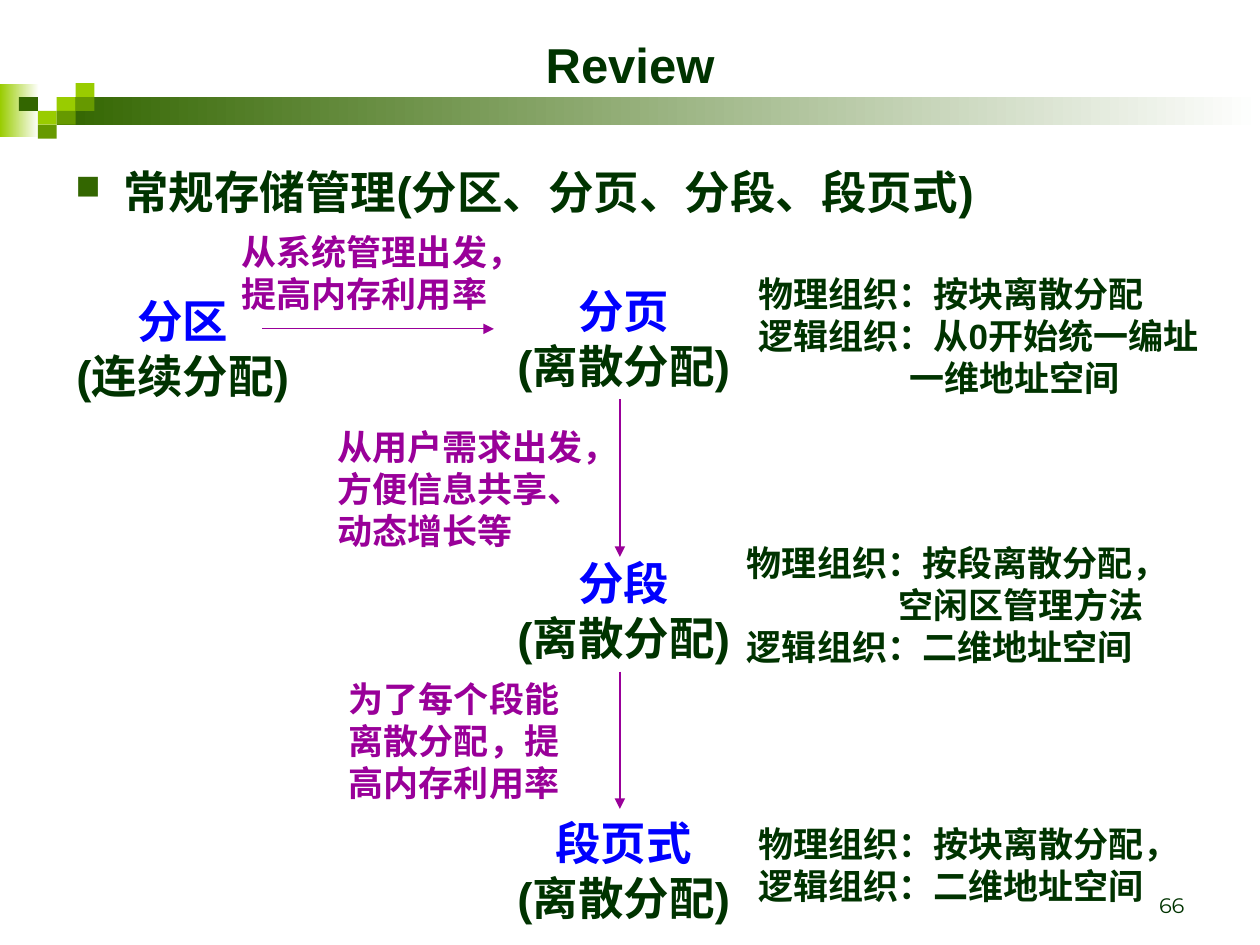
from lxml import etree
from pptx import Presentation
from pptx.dml.color import RGBColor
from pptx.enum.shapes import MSO_CONNECTOR, MSO_SHAPE
from pptx.enum.text import MSO_ANCHOR, PP_ALIGN
from pptx.oxml.ns import qn
from pptx.util import Inches, Pt

RECTANGLE = MSO_SHAPE.RECTANGLE
STRAIGHT = MSO_CONNECTOR.STRAIGHT
TOP, MIDDLE, BOTTOM = MSO_ANCHOR.TOP, MSO_ANCHOR.MIDDLE, MSO_ANCHOR.BOTTOM
LEFT, CENTER, RIGHT = PP_ALIGN.LEFT, PP_ALIGN.CENTER, PP_ALIGN.RIGHT

COLORS = {
    "text": "003300", "scheme": "0000FF", "reason": "990099",
    "dark": "336600", "mid": "669900", "lime": "99CC00", "white": "FFFFFF",
}


def rgb(name):
    return RGBColor.from_string(COLORS[name])


def add_text(box, lines, size, align=LEFT, anchor=TOP, wrap=True,
             font="Arial", bold=True):
    """Put (text, colour) lines into a new text box and return its paragraphs."""
    frame = slide.shapes.add_textbox(*[Inches(v) for v in box]).text_frame
    frame.word_wrap = wrap
    frame.vertical_anchor = anchor
    for i, (text, color) in enumerate(lines):
        paragraph = frame.paragraphs[0] if i == 0 else frame.add_paragraph()
        paragraph.alignment = align
        run = paragraph.add_run()
        run.text = text
        run.font.name = font
        run.font.size = Pt(size)
        run.font.bold = bold
        run.font.color.rgb = rgb(color)
    return frame.paragraphs


prs = Presentation()
prs.slide_width, prs.slide_height = Inches(10), Inches(7.5)
slide = prs.slides.add_slide(prs.slide_layouts[6])

# Header decoration: two fading bars, then small squares on a grid
CELL_W, CELL_H = 0.15, 0.11
GRID_TOP = 0.66
decoration = [
    (0, 0.67, 0.31, 0.42, ("lime", "white")),
    (0.45, 0.77, 9.55, 0.22, ("dark", "white")),
]
for column, row, color in [
    (3, 1, "lime"), (4, 0, "lime"), (4, 1, "mid"), (2, 2, "lime"),
    (1, 1, "dark"), (3, 2, "mid"), (2, 3, "mid"),
]:
    decoration.append((column * CELL_W, GRID_TOP + row * CELL_H,
                       CELL_W, CELL_H, (color,)))
for *box, colors in decoration:
    block = slide.shapes.add_shape(RECTANGLE, *[Inches(v) for v in box])
    block.shadow.inherit = False
    block.line.fill.background()
    if len(colors) == 2:
        block.fill.gradient()
        block.fill.gradient_angle = 0
        for stop, color in zip(block.fill.gradient_stops, colors):
            stop.color.rgb = rgb(color)
    else:
        block.fill.solid()
        block.fill.fore_color.rgb = rgb(colors[0])

# Title and page number
add_text((0.5, 0.17, 9, 0.67), [("Review", "text")], 28, CENTER, MIDDLE)
add_text((7.17, 6.83, 2.33, 0.5), [("66", "text")], 12, RIGHT, BOTTOM,
         font="Montserrat", bold=False)

# Bulleted topic
topic = add_text((0.5, 1.17, 9, 0.67),
                 [("常规存储管理(分区、分页、分段、段页式)", "text")], 26)[0]
topic.line_spacing = 1.2
topic_props = topic._p.get_or_add_pPr()
topic_props.set("marL", str(Inches(0.38)))
topic_props.set("indent", str(-Inches(0.38)))
bullet_color = etree.SubElement(topic_props, qn("a:buClr"))
etree.SubElement(bullet_color, qn("a:srgbClr"), val=COLORS["dark"])
etree.SubElement(topic_props, qn("a:buSzPct"), val="75000")
etree.SubElement(topic_props, qn("a:buChar"), char="■")

# Memory management schemes
for left, top, scheme, allocation in [
    (0.42, 2.28, "分区", "(连续分配)"),
    (3.92, 2.2, "分页", "(离散分配)"),
    (3.92, 4.36, "分段", "(离散分配)"),
    (3.92, 6.42, "段页式", "(离散分配)"),
]:
    add_text((left, top, 2.06, 0.97),
             [(scheme, "scheme"), (allocation, "text")], 26, CENTER, wrap=False)

# Reasons for each step
for box, lines in [
    ((1.82, 1.78, 2.42, 0.77), ["从系统管理出发，", "提高内存利用率"]),
    ((2.58, 3.33, 2.5, 1.1), ["从用户需求出发，", "方便信息共享、", "动态增长等"]),
    ((2.67, 5.33, 1.92, 1.1), ["为了每个段能离散分配，提高内存利用率"]),
]:
    add_text(box, [(line, "reason") for line in lines], 20)

# Physical and logical organisation; continuation lines are indented
for left, top, height, lines, continuation in [
    (5.92, 2.11, 1.44, ["物理组织：按块离散分配", "逻辑组织：从0开始统一编址",
                        "一维地址空间"], 2),
    (5.83, 4.25, 1.44, ["物理组织：按段离散分配，", "空闲区管理方法",
                        "逻辑组织：二维地址空间"], 1),
    (5.92, 6.48, 0.77, ["物理组织：按块离散分配，", "逻辑组织：二维地址空间"], None),
]:
    organisation = add_text((left, top, 3.83, height),
                            [(line, "text") for line in lines], 20)
    if continuation is not None:
        props = organisation[continuation]._p.get_or_add_pPr()
        props.set("marL", str(Inches(1.2)))
        props.set("indent", "0")

# Arrows from one scheme to the next
for ends in [
    (2.08, 2.61, 3.92, 2.61),
    (4.92, 3.17, 4.92, 4.42),
    (4.92, 5.33, 4.92, 6.42),
]:
    arrow = slide.shapes.add_connector(STRAIGHT, *[Inches(v) for v in ends])
    arrow.line.color.rgb = rgb("reason")
    arrow.line.width = Pt(0.75)
    etree.SubElement(arrow.line._get_or_add_ln(), qn("a:tailEnd"), type="triangle")
    etree.SubElement(arrow._element.spPr, qn("a:effectLst"))

prs.save("out.pptx")
